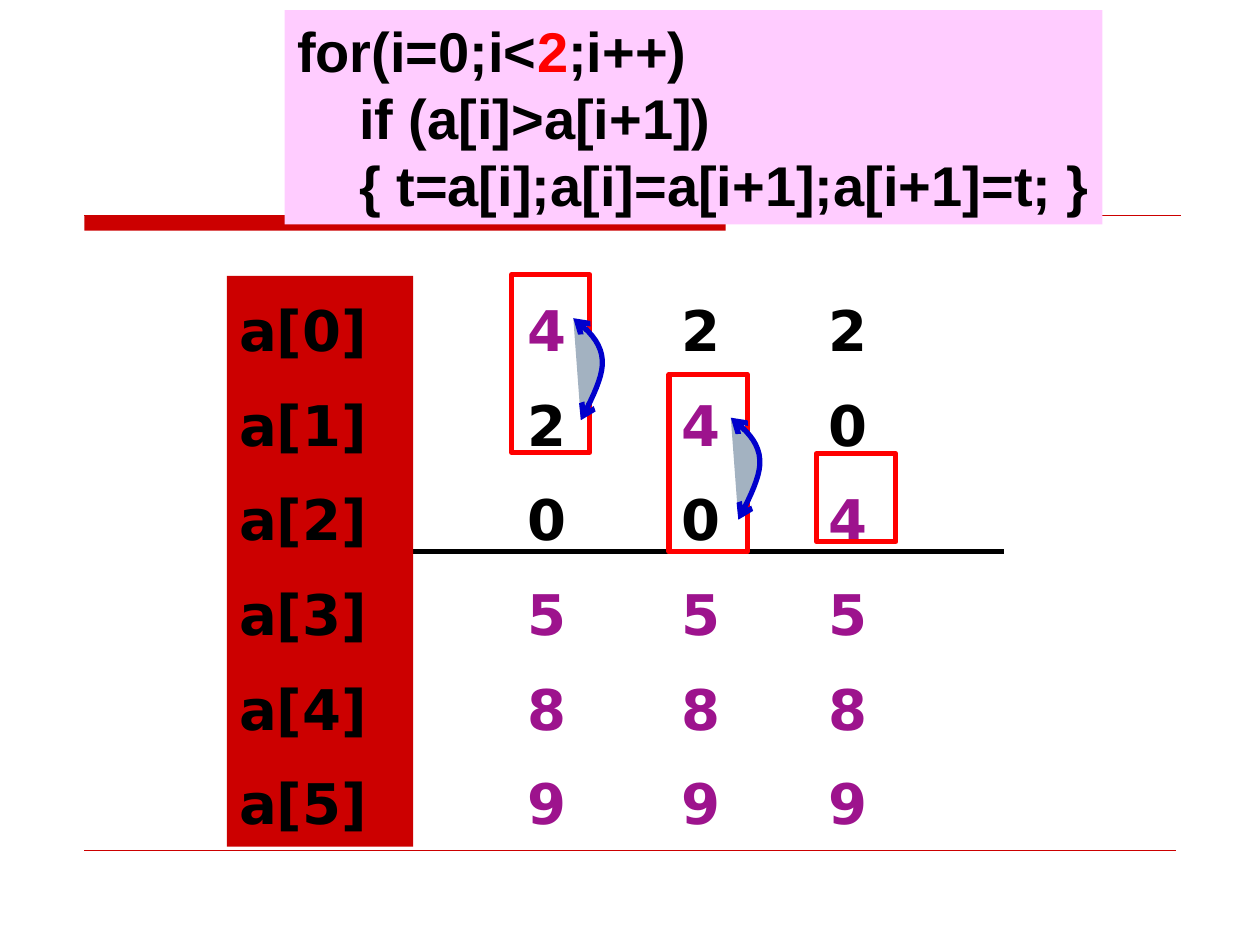
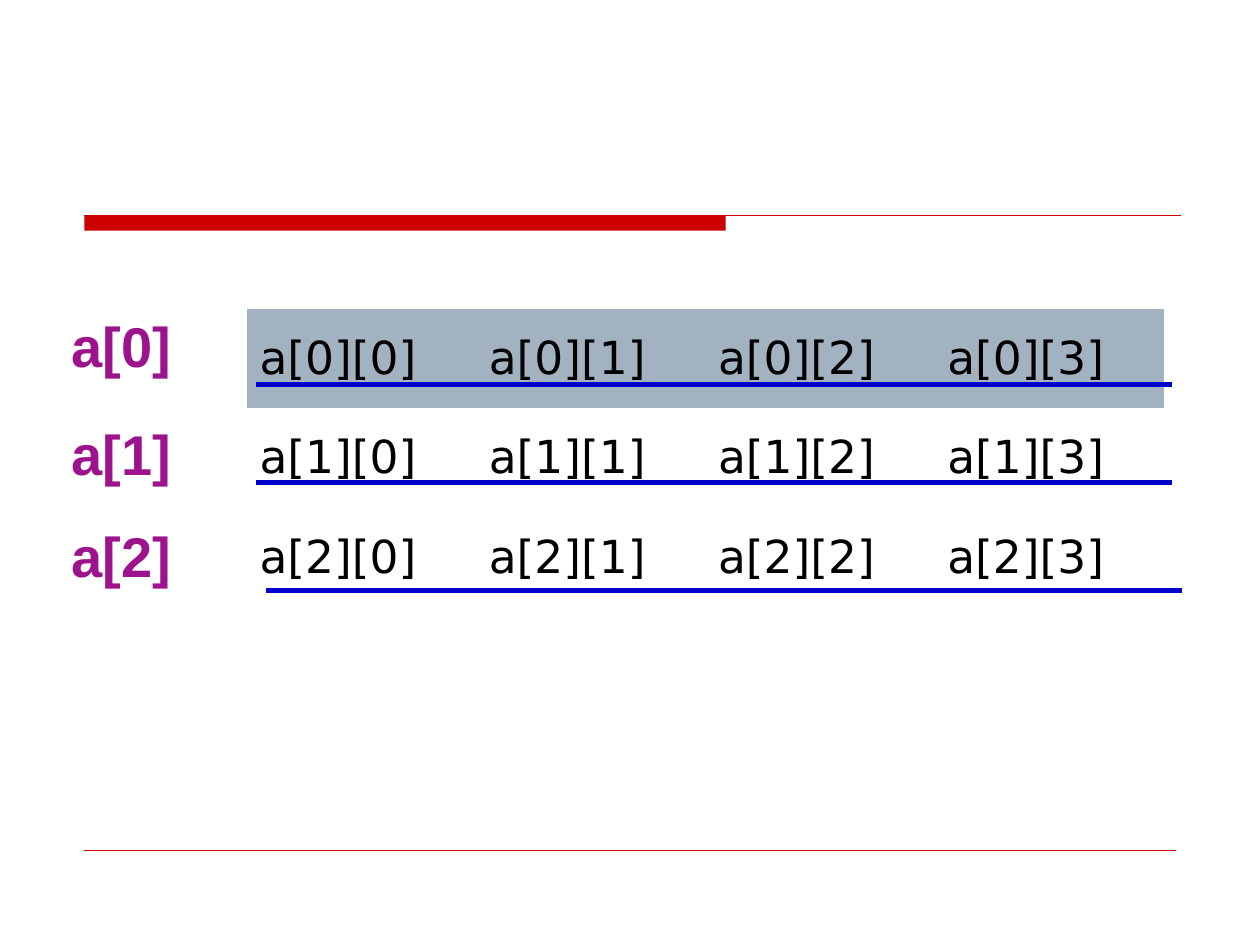
from lxml.etree import SubElement
from pptx import Presentation
from pptx.dml.color import RGBColor
from pptx.enum.shapes import MSO_CONNECTOR, MSO_SHAPE
from pptx.enum.text import MSO_ANCHOR, PP_ALIGN
from pptx.oxml.ns import qn
from pptx.util import Inches, Pt

WIDTH, HEIGHT = Inches(10), Inches(7.5)
RED, BRIGHT_RED, PINK = "CC0000", "FF0000", "FFCCFF"
PURPLE, BLUE, GREY = "9D138D", "0000CC", "A3B2C1"
BLACK, WHITE = "000000", "FFFFFF"
CODE_FONT, LABEL_FONT = "Arial", "DejaVu Sans"
NO_TABLE_STYLE = "{2D5ABB26-0587-4C30-8999-92F81FD0307C}"

ARRAY = [4, 2, 0, 5, 8, 9]
UNSORTED = 3
ARRAY_TOP, ARRAY_HEIGHT = 29.2, 60.4
# Two Bezier curves, as shares of the arc's box, from its foot to its top
ARC_CURVES = [
    [(0.25, 1), (0.63, 0.78), (1, 0.57), (0.96, 0.41)],
    [(0.96, 0.41), (0.92, 0.23), (0.46, 0.11), (0, 0)],
]


def across(percent):
    return round(WIDTH * percent / 100)


def down(percent):
    return round(HEIGHT * percent / 100)


def area(left, top, width, height):
    """Turn percentages of the slide into a position and a size."""
    return across(left), down(top), across(width), down(height)


def color(hex_value):
    return RGBColor.from_string(hex_value)


def paint(shape, fill=None, line=None, line_width=3):
    shape.shadow.inherit = False
    if fill:
        shape.fill.solid()
        shape.fill.fore_color.rgb = color(fill)
    else:
        shape.fill.background()
    if line:
        shape.line.color.rgb = color(line)
        shape.line.width = Pt(line_width)
    else:
        shape.line.fill.background()


def add_box(slide, bounds, fill=None, line=None, kind=MSO_SHAPE.RECTANGLE):
    shape = slide.shapes.add_shape(kind, *area(*bounds))
    paint(shape, fill, line)
    return shape


def add_rule(slide, left, right, height, line, line_width=3):
    """Draw a horizontal line at a height on the slide."""
    rule = slide.shapes.add_connector(
        MSO_CONNECTOR.STRAIGHT, across(left), down(height), across(right), down(height))
    rule.line.color.rgb = color(line)
    rule.line.width = Pt(line_width)
    SubElement(rule._element.spPr, qn("a:effectLst"))


def write_paragraph(paragraph, runs, font_name, size=32, bold=True):
    """Fill a paragraph with (text, colour) runs."""
    paragraph.alignment = PP_ALIGN.LEFT
    for text, text_color in runs:
        run = paragraph.add_run()
        run.text = text
        run.font.name = font_name
        run.font.size = Pt(size)
        run.font.bold = bold
        run.font.color.rgb = color(text_color)


def write_lines(shape, lines, font_name, wrap=True, line_spacing=None, space_before=0):
    frame = shape.text_frame
    frame.word_wrap = wrap
    frame.vertical_anchor = MSO_ANCHOR.TOP
    for index, runs in enumerate(lines):
        paragraph = frame.add_paragraph() if index else frame.paragraphs[0]
        if line_spacing:
            paragraph.line_spacing = line_spacing
        if index and space_before:
            paragraph.space_before = Pt(space_before)
        write_paragraph(paragraph, runs, font_name)


def write_array(shape, entries):
    write_lines(shape, [[entry] for entry in entries], LABEL_FONT,
                line_spacing=1.2, space_before=8)


def bezier_point(curve, t):
    weights = ((1 - t) ** 3, 3 * t * (1 - t) ** 2, 3 * t ** 2 * (1 - t), t ** 3)
    return tuple(sum(weight * point[axis] for weight, point in zip(weights, curve))
                 for axis in (0, 1))


def add_swap_arc(slide, left, top, steps=10):
    """Draw a filled arc with an arrowhead at both ends."""
    x, y, width, height = area(left, top, 2.4, 10.8)
    shares = [bezier_point(curve, step / steps)
              for curve in ARC_CURVES for step in range(steps + 1)]
    points = [(round(x + width * a), round(y + height * b)) for a, b in shares]
    builder = slide.shapes.build_freeform(*points[0])
    builder.add_line_segments(points[1:], close=False)
    arc = builder.convert_to_shape()
    paint(arc, GREY, BLUE)
    for end in ("a:headEnd", "a:tailEnd"):
        SubElement(arc.line._get_or_add_ln(), qn(end), type="arrow")


def add_framed_slide(presentation):
    """Add a slide with the title band and the footer line."""
    slide = presentation.slides.add_slide(presentation.slide_layouts[6])
    add_box(slide, (6.7, 22.8, 50.9, 1.6), RED)
    add_rule(slide, 6.7, 93.7, 22.8, RED, 0.75)
    add_rule(slide, 6.7, 93.3, 90, RED, 0.25)
    return slide


def add_array_state(slide, left, values, step):
    """Show the array; the moving value and the sorted tail are purple."""
    column = slide.shapes.add_textbox(*area(left, ARRAY_TOP, 7.8, ARRAY_HEIGHT))
    write_array(column, [
        (str(value), PURPLE if row == step or row >= UNSORTED else BLACK)
        for row, value in enumerate(values)])


def add_highlight(slide, bounds):
    add_box(slide, bounds, line=BRIGHT_RED, kind=MSO_SHAPE.FLOWCHART_PROCESS)


def build_bubble_pass(presentation):
    slide = add_framed_slide(presentation)
    add_rule(slide, 32.8, 79.7, 58.4, BLACK)

    highlights = [(40.6, 29.07, 6.2, 18.8), (53.1, 39.6, 6.2, 18.8), (64.8, 48, 6.3, 9.33)]
    values = list(ARRAY)
    for step, (column_left, highlight) in enumerate(zip((40.9, 53.1, 64.8), highlights)):
        add_array_state(slide, column_left, values, step)
        add_highlight(slide, highlight)
        if step < UNSORTED - 1:
            add_swap_arc(slide, highlight[0] + 4.9, highlight[1] + 4.6)
            values[step], values[step + 1] = values[step + 1], values[step]

    names = add_box(slide, (18, ARRAY_TOP, 14.8, ARRAY_HEIGHT), RED)
    write_array(names, [(f"a[{row}]", BLACK) for row in range(len(ARRAY))])

    code = add_box(slide, (22.6, 1.07, 64.9, 22.67), PINK)
    write_lines(code, [
        [("for(i=0;i<", BLACK), ("2", BRIGHT_RED), (";i++)", BLACK)],
        [("    if (a[i]>a[i+1])", BLACK)],
        [("    { t=a[i];a[i]=a[i+1];a[i+1]=t; }", BLACK)],
    ], CODE_FONT, wrap=False)


def add_element_table(slide, rows, columns, bounds):
    table = slide.shapes.add_table(rows, columns, *area(*bounds)).table
    table.first_row = table.horz_banding = False
    table._tbl.tblPr.find(qn("a:tableStyleId")).text = NO_TABLE_STYLE
    for row in range(rows):
        for column in range(columns):
            cell = table.cell(row, column)
            cell.fill.solid()
            cell.fill.fore_color.rgb = color(WHITE if row else GREY)
            cell.vertical_anchor = MSO_ANCHOR.MIDDLE
            write_paragraph(cell.text_frame.paragraphs[0],
                            [(f"a[{row}][{column}]", BLACK)], LABEL_FONT, 26, False)


def build_two_dimensional_array(presentation):
    slide = add_framed_slide(presentation)
    add_element_table(slide, 3, 4, (19.6, 32.67, 72.8, 31.6))
    for row, top in enumerate((32.27, 43.73, 54.53)):
        label = slide.shapes.add_textbox(*area(4.7, top, 12, 8.53))
        write_lines(label, [[(f"a[{row}]", PURPLE)]], CODE_FONT)
    for left, height in ((20.3, 40.67), (20.3, 51.07), (21.1, 62.53)):
        add_rule(slide, left, left + 72.7, height, BLUE)


def main():
    presentation = Presentation()
    presentation.slide_width, presentation.slide_height = WIDTH, HEIGHT
    build_bubble_pass(presentation)
    build_two_dimensional_array(presentation)
    presentation.save("out.pptx")


if __name__ == "__main__":
    main()
